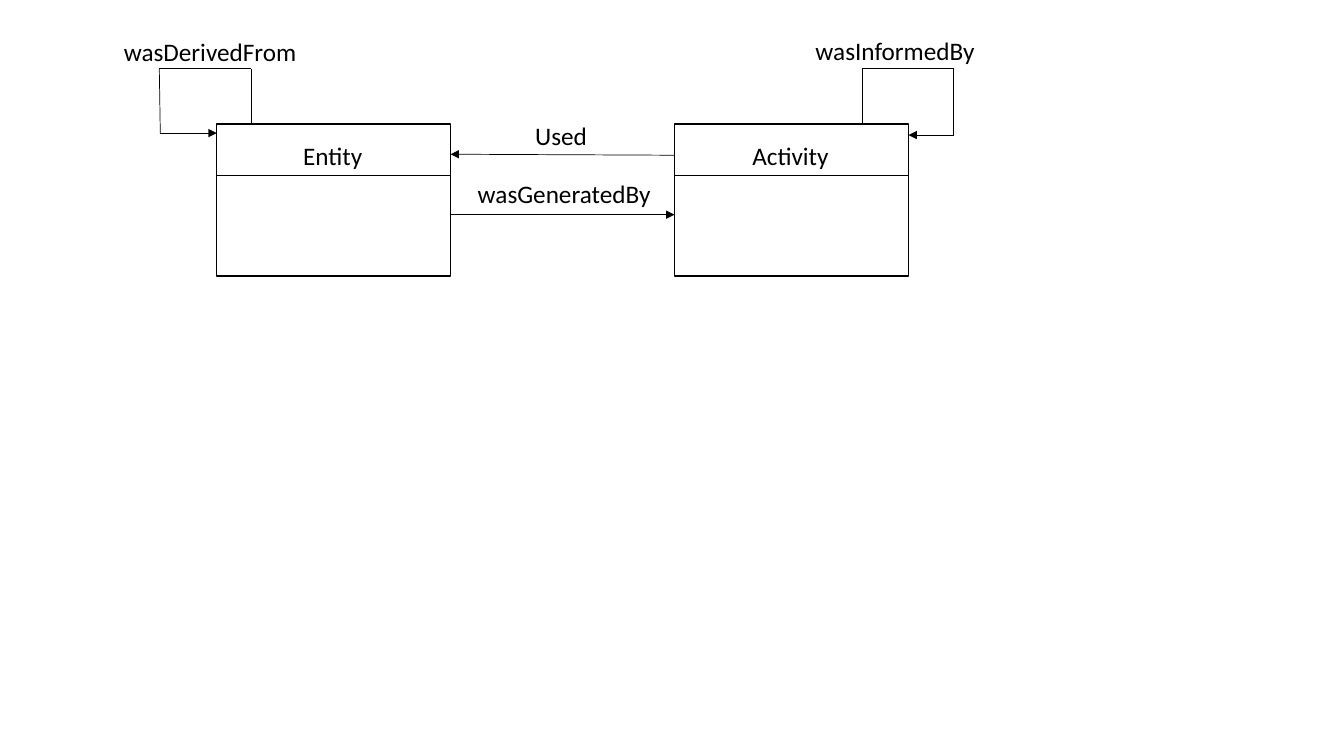
from itertools import pairwise

from lxml.etree import SubElement
from pptx import Presentation
from pptx.dml.color import RGBColor
from pptx.enum.shapes import MSO_CONNECTOR, MSO_SHAPE
from pptx.enum.text import MSO_AUTO_SIZE, PP_ALIGN
from pptx.oxml.ns import qn
from pptx.util import Inches, Pt


def color(value):
    """Return the colour for a hex string."""
    return RGBColor.from_string(value)


class Diagram:
    """Hold the slide and the style of its boxes, arrows and labels."""

    ink = "000000"
    font = {"name": "Calibri", "size": Pt(18)}
    frame = {"word_wrap": True, "auto_size": MSO_AUTO_SIZE.SHAPE_TO_FIT_TEXT}

    def __init__(self, slide):
        """Keep the slide to draw on."""
        self.slide = slide

    def label(self, text, left, top, width, align=PP_ALIGN.LEFT):
        """Add a one-line text box."""
        sp = self.slide.shapes.add_textbox(*map(Inches, (left, top, width, 0.4)))
        tf = sp.text_frame
        for name, value in self.frame.items():
            setattr(tf, name, value)
        p = tf.paragraphs[0]
        p.alignment = align
        r = p.add_run()
        r.text = text
        for name, value in self.font.items():
            setattr(r.font, name, value)
        r.font.color.rgb = color(self.ink)

    def line(self, start, end, arrow=False):
        """Add a thin line, with an arrowhead at its end if asked."""
        sp = self.slide.shapes.add_connector(
            MSO_CONNECTOR.STRAIGHT, *map(Inches, (*start, *end)))
        sp.line.width = Pt(0.5)
        sp.line.color.rgb = color(self.ink)
        if arrow:
            SubElement(sp.line._get_or_add_ln(), qn("a:tailEnd"), type="triangle")
        SubElement(sp._element.spPr, qn("a:effectLst"))

    def path_arrow(self, points):
        """Join points with lines and end in an arrowhead."""
        for start, end in pairwise(points):
            self.line(start, end, arrow=end == points[-1])

    def class_box(self, name, left, top=1.23, width=2.32):
        """Add a class box with a centred name and a divider."""
        sp = self.slide.shapes.add_shape(
            MSO_SHAPE.RECTANGLE, *map(Inches, (left, top, width, 1.51)))
        sp.shadow.inherit = False
        sp.fill.background()
        sp.line.width = Pt(1)
        sp.line.color.rgb = color(self.ink)
        self.label(name, left + 0.15, top + 0.11, 2, PP_ALIGN.CENTER)
        divider = top + 0.51
        self.line((left, divider), (left + width, divider))


prs = Presentation()
prs.slide_width, prs.slide_height = Inches(13.33), Inches(7.5)
diagram = Diagram(prs.slides.add_slide(prs.slide_layouts[6]))

for name, left in (("Entity", 2.15), ("Activity", 6.69)):
    diagram.class_box(name, left)

for route in (
    [(6.69, 1.54), (4.47, 1.53)],
    [(4.47, 2.13), (6.69, 2.13)],
    [(8.55, 1.23), (8.55, 0.68), (9.46, 0.68), (9.46, 1.34), (9.01, 1.34)],
    [(2.49, 1.23), (2.49, 0.68), (1.58, 0.68), (1.59, 1.32), (2.15, 1.32)],
):
    diagram.path_arrow(route)

for text, left, top, width in (
    ("Used", 5.21, 1.14, 0.74),
    ("wasGeneratedBy", 4.64, 1.72, 2.03),
    ("wasInformedBy", 7.99, 0.3, 2.03),
    ("wasDerivedFrom", 1.13, 0.31, 2.03),
):
    diagram.label(text, left, top, width)

prs.save("out.pptx")
